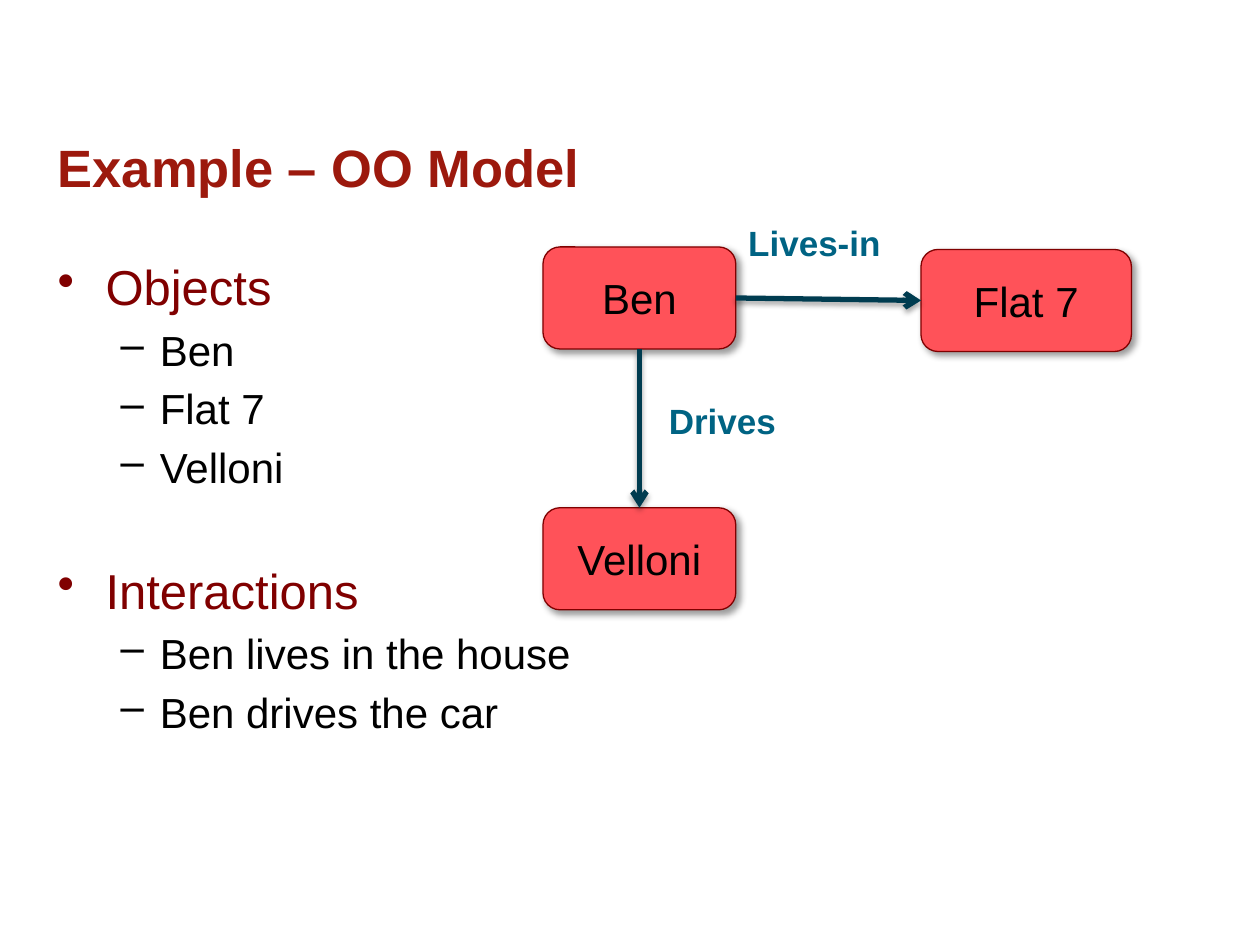
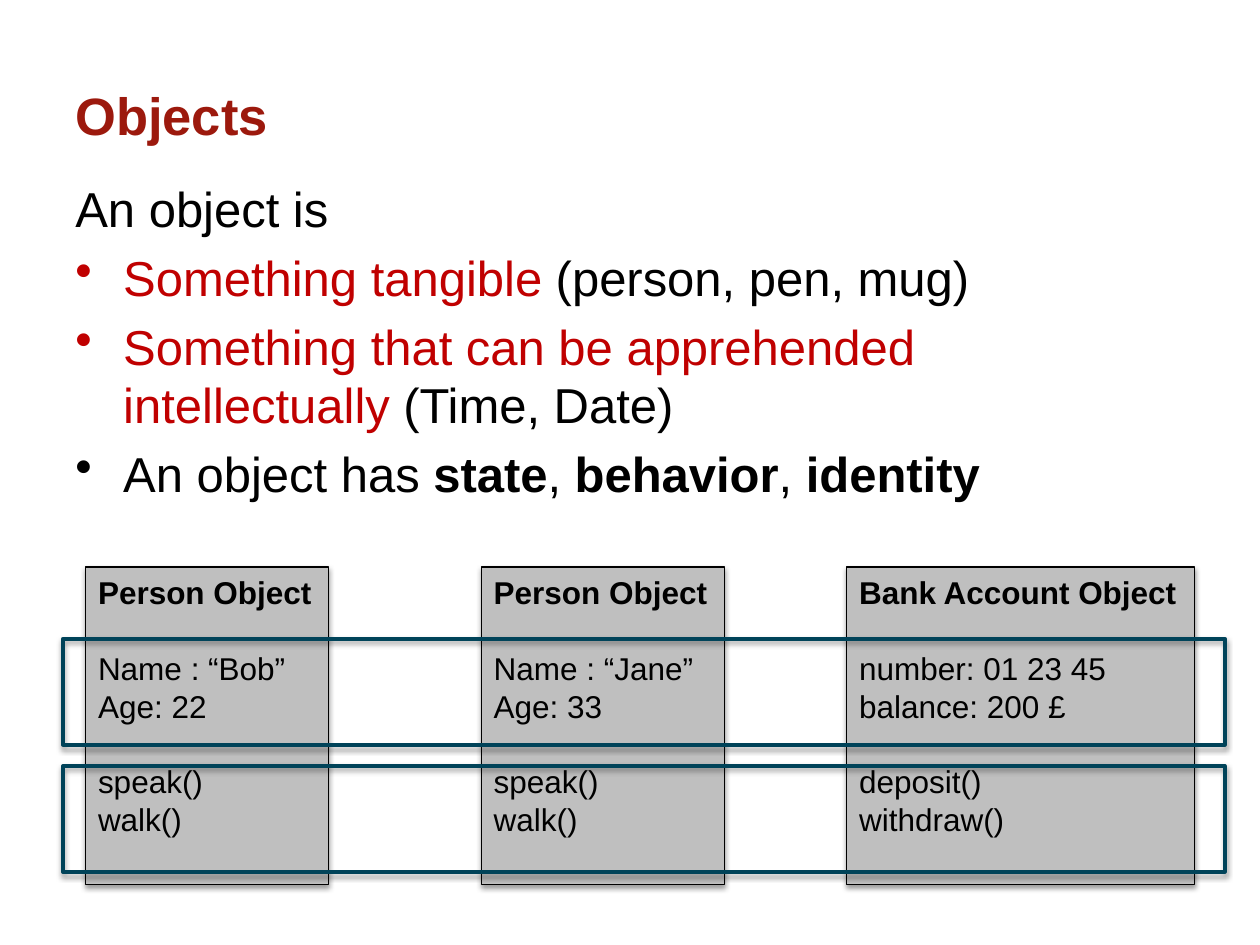
"""Build two slides that introduce objects and object-oriented models."""
from dataclasses import dataclass
from typing import NamedTuple

from lxml.etree import SubElement
from pptx import Presentation
from pptx.dml.color import RGBColor
from pptx.enum.shapes import MSO_CONNECTOR, MSO_SHAPE
from pptx.enum.text import MSO_ANCHOR, PP_ALIGN
from pptx.oxml.ns import qn
from pptx.util import Inches, Pt


class Shadow(NamedTuple):
    """Strength in percent, blur and distance in points, angle in degrees."""
    strength: int
    blur: float
    distance: float
    angle: int


@dataclass(frozen=True)
class Theme:
    """Colours, type sizes and shadows shared by the slides."""
    font: str = "Arial"
    title: str = "9C190D"
    heading: str = "800000"
    accent: str = "C00000"
    text: str = "000000"
    node: str = "FF5259"
    arrow: str = "003C50"
    relation: str = "006383"
    card: str = "BFBFBF"
    frame: str = "004359"
    title_size: int = 30
    body_size: int = 28
    sub_size: int = 24
    relation_size: int = 20
    card_size: int = 18
    line_height: float = 1.2
    node_shadow: Shadow = Shadow(40, 4, 3, 45)
    card_shadow: Shadow = Shadow(38, 3.1, 1.6, 90)
    line_shadow: Shadow = Shadow(35, 3.1, 1.8, 90)


THEME = Theme()


class Box(NamedTuple):
    """Left, top, width and height in inches."""
    left: float
    top: float
    width: float
    height: float


class Span(NamedTuple):
    """A stretch of text in one style."""
    text: str
    color: str = THEME.text
    bold: bool = False


class Line(NamedTuple):
    """A paragraph with its size, bullet, indents and space before."""
    spans: list[Span]
    size: int
    bullet: str = ""
    margin: float = 0
    hanging: float = 0
    before: float = 0


class Card(NamedTuple):
    """An object with its state and its behaviour."""
    left: float
    width: float
    heading: str
    state: list[str]
    behavior: list[str]


def add_shadow(properties, shadow: Shadow) -> None:
    """Cast a black outer shadow from a shape or a connector."""
    effects = properties.find(qn("a:effectLst"))
    if effects is None:
        effects = SubElement(properties, qn("a:effectLst"))
    outer = SubElement(effects, qn("a:outerShdw"), {
        "blurRad": str(Pt(shadow.blur)), "dist": str(Pt(shadow.distance)),
        "dir": str(shadow.angle * 60000), "algn": "ctr", "rotWithShape": "0"})
    black = SubElement(outer, qn("a:srgbClr"), val="000000")
    SubElement(black, qn("a:alpha"), val=str(shadow.strength * 1000))


def write_lines(frame, lines: list[Line], align=PP_ALIGN.LEFT) -> None:
    """Fill a text frame with styled paragraphs."""
    for index, line in enumerate(lines):
        paragraph = frame.add_paragraph() if index else frame.paragraphs[0]
        properties = paragraph._p.get_or_add_pPr()
        properties.set("marL", str(Inches(line.margin)))
        properties.set("indent", str(Inches(-line.hanging)))
        if line.bullet:
            bullet_color = SubElement(properties, qn("a:buClr"))
            SubElement(bullet_color, qn("a:srgbClr"), val=line.spans[0].color)
            SubElement(properties, qn("a:buChar"), char=line.bullet)
        paragraph.alignment = align
        paragraph.line_spacing = Pt(line.size * THEME.line_height)
        paragraph.space_before = Pt(line.before if index else 0)
        for span in line.spans:
            run = paragraph.add_run()
            run.text = span.text
            run.font.name = THEME.font
            run.font.size = Pt(line.size)
            run.font.bold = span.bold
            run.font.color.rgb = RGBColor.from_string(span.color)


def add_text(slide, box: Box, lines: list[Line], inset: float = 0.05, wrap: bool = True) -> None:
    """Place a text box."""
    frame = slide.shapes.add_textbox(*map(Inches, box)).text_frame
    frame.word_wrap = wrap
    frame.margin_top = Inches(inset)
    write_lines(frame, lines)


def add_title(slide, box: Box, title: str) -> None:
    """Place the slide title."""
    add_text(slide, box, [Line([Span(title, THEME.title, True)], THEME.title_size)], 0.08)


def add_panel(slide, preset, box: Box, fill: str | None, line: str, width: float, shadow: Shadow):
    """Draw an outlined shape with a shadow."""
    panel = slide.shapes.add_shape(preset, *map(Inches, box))
    panel.shadow.inherit = False
    add_shadow(panel._element.spPr, shadow)
    if fill:
        panel.fill.solid()
        panel.fill.fore_color.rgb = RGBColor.from_string(fill)
    else:
        panel.fill.background()
    panel.line.color.rgb = RGBColor.from_string(line)
    panel.line.width = Pt(width)
    return panel


def add_node(slide, box: Box, name: str):
    """Draw a named object of the model."""
    node = add_panel(slide, MSO_SHAPE.FLOWCHART_ALTERNATE_PROCESS, box,
                     THEME.node, THEME.heading, 0.75, THEME.node_shadow)
    node.text_frame.vertical_anchor = MSO_ANCHOR.MIDDLE
    write_lines(node.text_frame, [Line([Span(name)], THEME.sub_size)], PP_ALIGN.CENTER)
    return node


def add_arrow(slide, source, source_site: int, target, target_site: int) -> None:
    """Connect two nodes with an arrow."""
    arrow = slide.shapes.add_connector(MSO_CONNECTOR.STRAIGHT, 0, 0, 0, 0)
    arrow.begin_connect(source, source_site)
    arrow.end_connect(target, target_site)
    arrow.line.color.rgb = RGBColor.from_string(THEME.arrow)
    arrow.line.width = Pt(3)
    SubElement(arrow.line._get_or_add_ln(), qn("a:tailEnd"), type="arrow")
    add_shadow(arrow._element.spPr, THEME.line_shadow)


def add_card(slide, card: Card) -> None:
    """Draw an object card with heading, state and behaviour."""
    panel = add_panel(slide, MSO_SHAPE.RECTANGLE, Box(card.left, 4.5, card.width, 2.52),
                      THEME.card, THEME.text, 0.75, THEME.card_shadow)
    panel.text_frame.vertical_anchor = MSO_ANCHOR.TOP
    lines = [Line([Span(card.heading, bold=True)], THEME.card_size)]
    for group in (card.state, card.behavior):
        for index, entry in enumerate(group):
            gap = 0 if index else THEME.card_size * THEME.line_height
            lines.append(Line([Span(entry)], THEME.card_size, before=gap))
    write_lines(panel.text_frame, lines)


def body_line(*spans: Span, bullet: str = "•", before: float = 5.6) -> Line:
    """Return a first-level body paragraph."""
    return Line(list(spans), THEME.body_size, bullet, 0.38, 0.38, before)


def sub_line(text: str) -> Line:
    """Return a second-level body paragraph."""
    return Line([Span(text)], THEME.sub_size, "–", 0.81, 0.31, 4.8)


def build_model_slide(slide) -> None:
    """Show the objects of a small model and how they interact."""
    add_title(slide, Box(0.36, 0.99, 9.28, 0.72), "Example – OO Model")
    names = ["Ben", "Flat 7", "Velloni"]
    interactions = ["Ben lives in the house", "Ben drives the car"]
    add_text(slide, Box(0.36, 1.96, 9.28, 4.78), [
        body_line(Span("Objects", THEME.heading)),
        *map(sub_line, names),
        body_line(Span("Interactions", THEME.heading), before=39),
        *map(sub_line, interactions)], 0.08)
    boxes = [Box(4.31, 1.96, 1.53, 0.81), Box(7.31, 1.98, 1.67, 0.81), Box(4.31, 4.03, 1.53, 0.81)]
    ben, flat, car = [add_node(slide, box, name) for box, name in zip(boxes, names)]
    top, left, bottom, right = range(4)
    add_arrow(slide, ben, right, flat, left)
    add_arrow(slide, ben, bottom, car, top)
    for box, relation in ((Box(5.84, 1.71, 1.26, 0.44), "Lives-in"),
                          (Box(5.21, 3.12, 1.06, 0.44), "Drives")):
        add_text(slide, box, [Line([Span(relation, THEME.relation, True)], THEME.relation_size)],
                 wrap=False)


def build_objects_slide(slide) -> None:
    """Define an object and compare three examples."""
    add_title(slide, Box(0.5, 0.58, 9, 1.08), "Objects")
    add_text(slide, Box(0.5, 1.34, 9, 5.33), [
        body_line(Span("An object is"), bullet=""),
        body_line(Span("Something tangible ", THEME.accent), Span("(person, pen, mug)")),
        body_line(Span("Something that can be apprehended intellectually ", THEME.accent),
                  Span("(Time, Date)")),
        body_line(Span("An object has "), Span("state", bold=True), Span(", "),
                  Span("behavior", bold=True), Span(", "), Span("identity", bold=True))], 0.08)
    person_behavior = ["speak()", "walk()"]
    for card in (
            Card(0.68, 1.93, "Person Object", ["Name : “Bob”", "Age: 22"], person_behavior),
            Card(3.82, 1.93, "Person Object", ["Name : “Jane”", "Age: 33"], person_behavior),
            Card(6.72, 2.76, "Bank Account Object", ["number: 01 23 45", "balance: 200 £"],
                 ["deposit()", "withdraw()"])):
        add_card(slide, card)
    for frame_top in (5.07, 6.08):
        add_panel(slide, MSO_SHAPE.RECTANGLE, Box(0.5, frame_top, 9.22, 0.84),
                  None, THEME.frame, 2.25, THEME.line_shadow)


def main() -> None:
    """Build and save the presentation."""
    presentation = Presentation()
    presentation.slide_width = Inches(10)
    presentation.slide_height = Inches(7.5)
    blank = presentation.slide_layouts[6]
    for build in (build_model_slide, build_objects_slide):
        build(presentation.slides.add_slide(blank))
    presentation.save("out.pptx")


if __name__ == "__main__":
    main()
